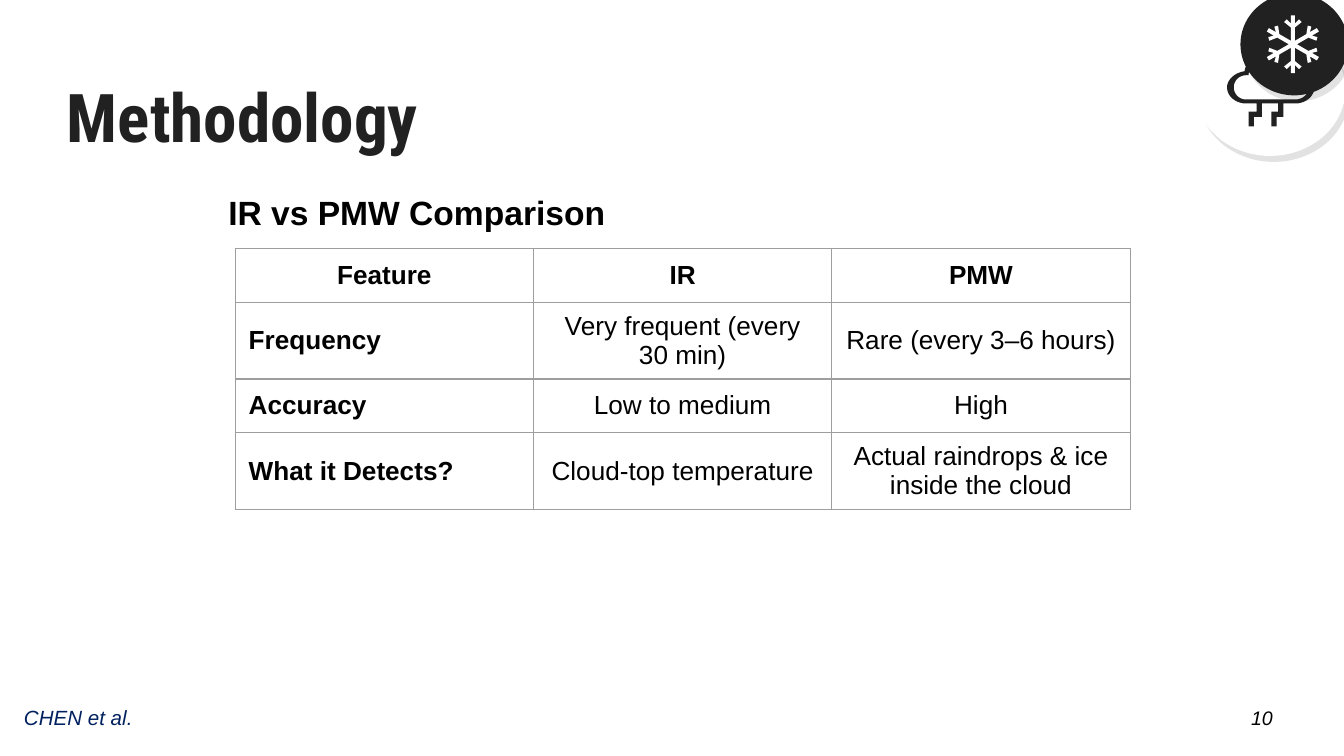
"""Build the methodology slide comparing IR and PMW observations."""
from math import cos, radians, sin

from lxml.etree import SubElement
from pptx import Presentation
from pptx.dml.color import RGBColor
from pptx.enum.shapes import MSO_SHAPE
from pptx.enum.text import MSO_ANCHOR, PP_ALIGN
from pptx.oxml import parse_xml
from pptx.oxml.ns import nsdecls, qn
from pptx.util import Inches, Pt

INK = RGBColor(0x21, 0x21, 0x21)
BLACK = RGBColor(0, 0, 0)
WHITE = RGBColor(255, 255, 255)
NAVY = RGBColor(0, 0x20, 0x60)
GREY = RGBColor(0x9E, 0x9E, 0x9E)

TITLE = ("Methodology", (0.4, 0.48, 3, 0.76), "Roboto Condensed", 36, INK, True)
LABELS = [
    ("CHEN et al.", (0.08, 5.2, 1.42, 0.29), "Arial", 11, NAVY, False),
    ("IR vs PMW Comparison", (1.6, 1.38, 5.15, 0.4), "Arial", 18, BLACK, True),
    ("10", (9.21, 5.2, 0.48, 0.29), "Arial", 10.5, BLACK, False),
]
ROWS = [
    ("Feature", "IR", "PMW"),
    ("Frequency", "Very frequent (every 30 min)", "Rare (every 3–6 hours)"),
    ("Accuracy", "Low to medium", "High"),
    ("What it Detects?", "Cloud-top temperature",
     "Actual raindrops & ice inside the cloud"),
]
HEIGHTS = (0.4, 0.57, 0.4, 0.57)
WIDTH = 2.22

CLOUD = [
    [(9.46, 0.42), (9.54, 0.42, 9.61, 0.48, 9.62, 0.55), (9.62, 0.56),
     (9.64, 0.56), (9.69, 0.56, 9.74, 0.6, 9.74, 0.65),
     (9.74, 0.7, 9.69, 0.74, 9.64, 0.74), (9.27, 0.74),
     (9.22, 0.74, 9.18, 0.7, 9.18, 0.65),
     (9.18, 0.6, 9.22, 0.56, 9.27, 0.56), (9.29, 0.56), (9.29, 0.55),
     (9.3, 0.48, 9.37, 0.42, 9.46, 0.42)],
    [(9.46, 0.39), (9.36, 0.39, 9.27, 0.45, 9.26, 0.53),
     (9.19, 0.54, 9.13, 0.59, 9.13, 0.65),
     (9.13, 0.72, 9.2, 0.77, 9.27, 0.77), (9.35, 0.77), (9.35, 0.83),
     (9.29, 0.83), (9.29, 0.94), (9.33, 0.94), (9.33, 0.87), (9.39, 0.87),
     (9.39, 0.77), (9.51, 0.77), (9.51, 0.83), (9.46, 0.83), (9.46, 0.94),
     (9.5, 0.94), (9.5, 0.87), (9.55, 0.87), (9.55, 0.77), (9.64, 0.77),
     (9.71, 0.77, 9.78, 0.72, 9.78, 0.65),
     (9.78, 0.59, 9.72, 0.54, 9.66, 0.53),
     (9.64, 0.45, 9.55, 0.39, 9.46, 0.39)],
]
ARM = [(-1.5, -2.5), (-1.5, -12.5), (-6.5, -16.5), (-4.5, -18.5),
       (-1.5, -15.5), (-1.5, -21.5)]
HUB = (9.62, 0.33)


def trace(path, steps=10):
    """Turn points and cubic curves into a list of points."""
    dots = []
    for part in path:
        if len(part) == 2:
            dots.append(part)
            continue
        knots = (dots[-1], part[:2], part[2:4], part[4:])
        for step in range(1, steps + 1):
            t = step / steps
            mix = ((1 - t) ** 3, 3 * t * (1 - t) ** 2, 3 * t * t * (1 - t), t ** 3)
            dots.append(tuple(sum(m * k[i] for m, k in zip(mix, knots))
                              for i in (0, 1)))
    return dots


def flake():
    """Turn one arm six times about the hub."""
    arm = ARM + [(-x, y) for x, y in reversed(ARM)]
    dots = []
    for turn in range(0, 360, 60):
        c, s = cos(radians(turn)), sin(radians(turn))
        dots += [(HUB[0] + (x * c - y * s) / 100, HUB[1] + (x * s + y * c) / 100)
                 for x, y in arm]
    return dots


def paint(shape, color):
    """Give a shape a plain fill without line or shadow."""
    shape.fill.solid()
    shape.fill.fore_color.rgb = color
    shape.line.fill.background()
    shape.shadow.inherit = False


def draw(slide, loops, color):
    """Draw closed outlines as one filled shape."""
    loops = [[(Inches(x), Inches(y)) for x, y in loop] for loop in loops]
    pen = slide.shapes.build_freeform(*loops[0][0])
    for i, loop in enumerate(loops):
        if i:
            pen.move_to(*loop[0])
        pen.add_line_segments(loop[1:], close=True)
    paint(pen.convert_to_shape(), color)


def disc(slide, box, color):
    """Draw a round badge with a faint hard shadow."""
    shape = slide.shapes.add_shape(MSO_SHAPE.OVAL, *map(Inches, box))
    paint(shape, color)
    glow = shape._element.spPr.find(qn("a:effectLst"))
    cast = SubElement(glow, qn("a:outerShdw"), blurRad="0", dist=str(Pt(3.8)),
                      dir=str(58 * 60000), algn="bl", rotWithShape="0")
    tint = SubElement(cast, qn("a:srgbClr"), val=str(INK))
    SubElement(tint, qn("a:alpha"), val="13000")


def style(para, name, size, color, bold, italic=False):
    """Set the font of a paragraph."""
    font = para.font
    font.name, font.size, font.bold, font.italic = name, Pt(size), bold, italic
    font.color.rgb = color


def label(slide, item, italic=False):
    """Add one text box and return its frame."""
    text, box, name, size, color, bold = item
    frame = slide.shapes.add_textbox(*map(Inches, box)).text_frame
    frame.word_wrap = True
    frame.text = text
    style(frame.paragraphs[0], name, size, color, bold, italic)
    return frame


def edge(cell):
    """Outline a table cell."""
    props = cell._tc.get_or_add_tcPr()
    for i, side in enumerate(("lnL", "lnR", "lnT", "lnB")):
        props.insert(i, parse_xml(
            f'<a:{side} {nsdecls("a")} w="{Pt(0.75)}"><a:solidFill>'
            f'<a:srgbClr val="{GREY}"/></a:solidFill></a:{side}>'))


def grid(slide):
    """Add the comparison table."""
    cols = len(ROWS[0])
    table = slide.shapes.add_table(
        len(ROWS), cols, Inches(1.75), Inches(1.85),
        Inches(WIDTH * cols), Inches(sum(HEIGHTS))).table
    table.first_row = table.horz_banding = False
    for col in table.columns:
        col.width = Inches(WIDTH)
    for r, row in enumerate(ROWS):
        table.rows[r].height = Inches(HEIGHTS[r])
        for c, text in enumerate(row):
            cell = table.cell(r, c)
            cell.text = text
            cell.vertical_anchor = MSO_ANCHOR.MIDDLE
            cell.fill.background()
            edge(cell)
            para = cell.text_frame.paragraphs[0]
            head = r == 0 or c == 0
            style(para, "Arial", 14, BLACK, head)
            para.alignment = PP_ALIGN.LEFT if r and c == 0 else PP_ALIGN.CENTER


def main():
    """Build and save the slide."""
    deck = Presentation()
    deck.slide_width, deck.slide_height = Inches(10), Inches(10 * 9 / 16)
    slide = deck.slides.add_slide(deck.slide_layouts[6])
    disc(slide, (8.89, 0.17, 1.12, 0.99), WHITE)
    draw(slide, [trace(path) for path in CLOUD], INK)
    disc(slide, (9.23, -0.05, 0.8, 0.76), INK)
    draw(slide, [flake()], WHITE)
    frame = label(slide, TITLE)
    frame.vertical_anchor = MSO_ANCHOR.MIDDLE
    frame.margin_top = frame.margin_bottom = Inches(0.1)
    grid(slide)
    for item in LABELS:
        label(slide, item, italic=not item[-1])
    deck.save("out.pptx")


if __name__ == "__main__":
    main()
